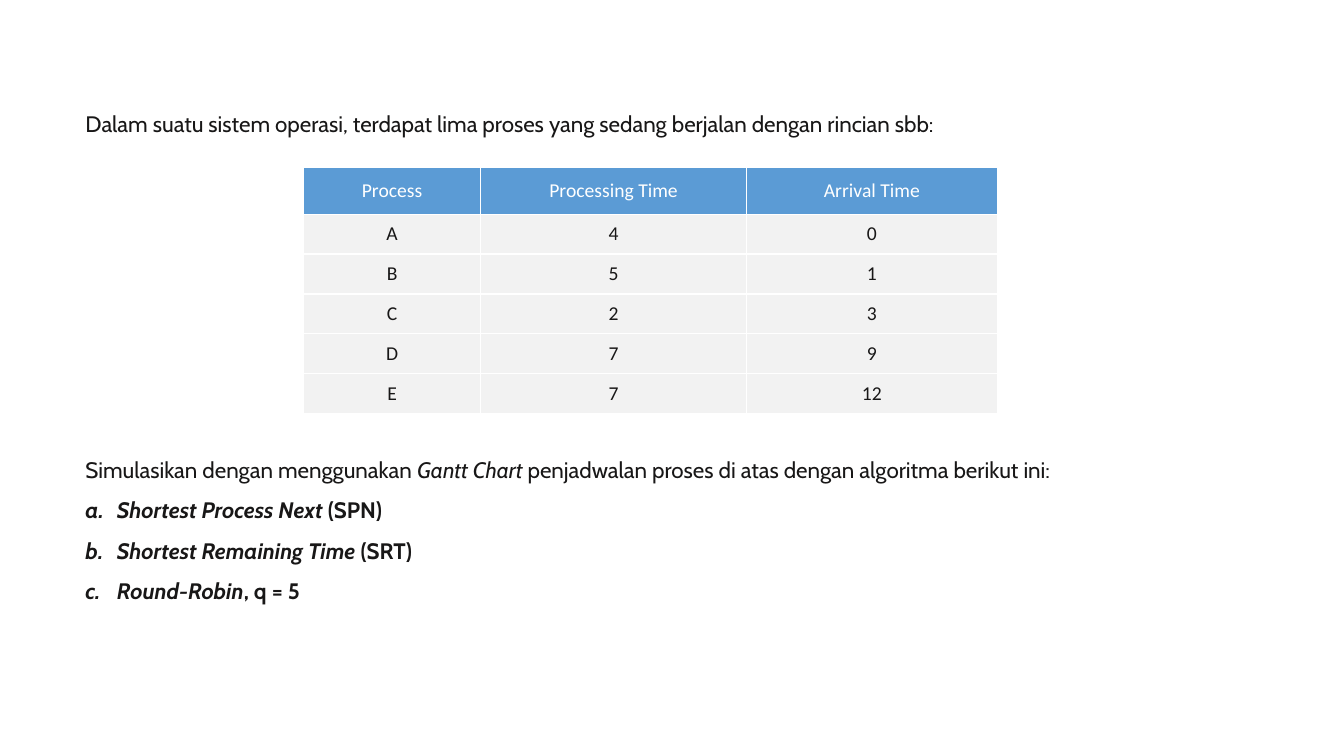
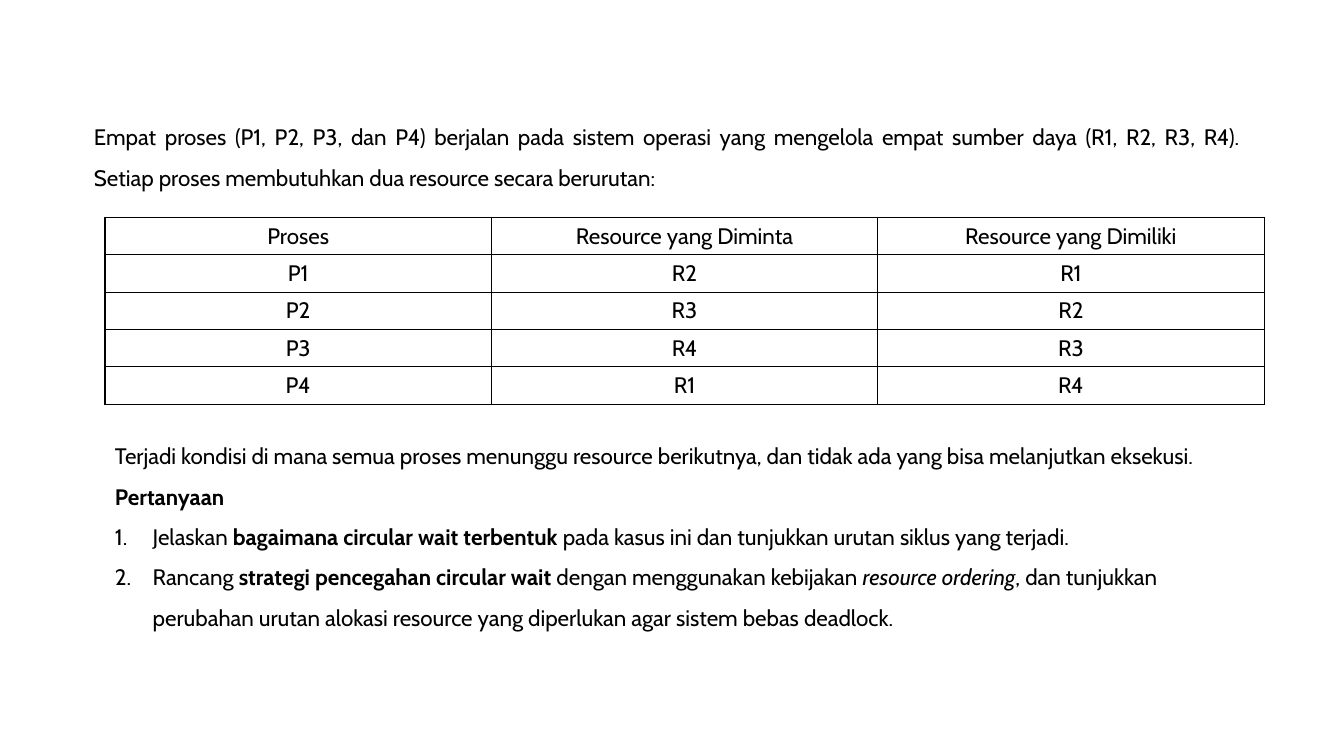
from lxml import etree
from pptx import Presentation
from pptx import util as u
from pptx.dml.color import RGBColor
from pptx.enum import text as t
from pptx.oxml import ns

PX = 9525
FONT = "Cabin"
INK = {"dark": "181717", "black": "000000", "white": "FFFFFF",
       "blue": "5B9BD5", "pale": "F2F2F2"}
ALIGN = {"left": t.PP_ALIGN.LEFT, "just": t.PP_ALIGN.JUSTIFY, "mid": t.PP_ALIGN.CENTER}


def write(frame, paras, ink, align, size=16, font=FONT, gap=1.0, list_type=None, indent=0):
    for n, (listed, runs) in enumerate(paras):
        para = frame.paragraphs[0] if n == 0 else frame.add_paragraph()
        para.alignment = ALIGN[align]
        para.line_spacing = gap
        if listed:
            props = para._p.get_or_add_pPr()
            props.set("marL", str(indent * PX))
            props.set("indent", str(-indent * PX))
            etree.SubElement(props, ns.qn("a:buFont"), typeface="+mj-lt")
            etree.SubElement(props, ns.qn("a:buAutoNum"), type=list_type)
        for words, style in runs:
            if words == "\n":
                para.add_line_break()
                continue
            run = para.add_run()
            run.text = words
            run.font.name = font
            run.font.size = u.Pt(size)
            run.font.bold = "b" in style
            run.font.italic = "i" in style
            run.font.color.rgb = RGBColor.from_string(INK[ink])


def grid(slide, left, top, cols, rows, data, edge, looks, size, font, pad):
    table = slide.shapes.add_table(len(rows), len(cols), left * PX, top * PX,
                                   sum(cols) * PX, sum(rows) * PX).table
    table.first_row = table.horz_banding = False
    for col, wide in zip(table.columns, cols):
        col.width = wide * PX
    for r, (row, high) in enumerate(zip(table.rows, rows)):
        row.height = high * PX
        ink, fill = looks[min(r, 1)]
        for cell, words in zip(row.cells, data[r]):
            cell.vertical_anchor = t.MSO_ANCHOR.MIDDLE
            cell.margin_left = cell.margin_right = pad[0] * PX
            cell.margin_top = cell.margin_bottom = pad[1] * PX
            props = cell._tc.get_or_add_tcPr()
            for side in "LRTB":
                line = etree.SubElement(props, ns.qn("a:ln" + side), w=str(u.Pt(1)))
                solid = etree.SubElement(line, ns.qn("a:solidFill"))
                etree.SubElement(solid, ns.qn("a:srgbClr"), val=INK[edge])
            if fill:
                cell.fill.solid()
                cell.fill.fore_color.rgb = RGBColor.from_string(INK[fill])
            else:
                cell.fill.background()
            write(cell.text_frame, [(False, [(words, "")])], ink, "mid", size, font)


deck = Presentation()
deck.slide_width = 1280 * PX
deck.slide_height = 720 * PX
blank = deck.slide_layouts[6]
plan = deck.slides.add_slide(blank)
lock = deck.slides.add_slide(blank)

grid(plan, 289, 159, [169, 253, 239], [45] + [38] * 5,
     [("Process", "Processing Time", "Arrival Time"),
      ("A", "4", "0"), ("B", "5", "1"), ("C", "2", "3"),
      ("D", "7", "9"), ("E", "7", "12")],
     "white", [("white", "blue"), ("dark", "pale")], 14, "Calibri", (7, 0))

grid(lock, 100, 207, [368] * 3, [35] * 5,
     [("Proses", "Resource yang Diminta", "Resource yang Dimiliki"),
      ("P1", "R2", "R1"), ("P2", "R3", "R2"),
      ("P3", "R4", "R3"), ("P4", "R1", "R4")],
     "black", [("black", None)] * 2, 16, FONT, (10, 5))

intro = [(False, [("Dalam suatu sistem operasi, terdapat lima proses yang sedang berjalan dengan rincian sbb:", "")])]
tasks = [
    (False, [("Simulasikan dengan menggunakan ", ""), ("Gantt Chart", "i"),
             (" penjadwalan proses di atas dengan algoritma berikut ini:", "")]),
    (True, [("Shortest Process Next", "bi"), (" (SPN)", "b")]),
    (True, [("Shortest Remaining Time", "bi"), (" (SRT)", "b")]),
    (True, [("Round-Robin", "bi"), (", q = 5", "b")]),
]
case = [(False, [
    ("Empat proses (P1, P2, P3, dan P4) berjalan pada sistem operasi yang mengelola empat sumber daya (R1, R2, R3, R4).", ""),
    ("\n", ""),
    ("Setiap proses membutuhkan dua resource secara berurutan:", "")])]
asks = [
    (False, [("Terjadi kondisi di mana semua proses menunggu resource berikutnya, dan tidak ada yang bisa melanjutkan eksekusi.", "")]),
    (False, [("Pertanyaan", "b")]),
    (True, [("Jelaskan ", ""), ("bagaimana circular wait terbentuk", "b"),
            (" pada kasus ini dan tunjukkan urutan siklus yang terjadi.", "")]),
    (True, [("Rancang ", ""), ("strategi pencegahan circular wait", "b"),
            (" dengan menggunakan kebijakan ", ""), ("resource ordering", "i"),
            (", dan tunjukkan perubahan urutan alokasi resource yang diperlukan agar sistem bebas deadlock.", "")]),
]

for slide, place, paras, ink, align, gap, kind, indent in [
    (plan, (72, 100, 1113, 36), intro, "dark", "just", 1.0, None, 0),
    (plan, (72, 417, 1013, 165), tasks, "dark", "just", 1.5, "alphaLcPeriod", 30),
    (lock, (80, 100, 1111, 87), case, "black", "just", 1.5, None, 0),
    (lock, (100, 404, 1104, 200), asks, "black", "left", 1.5, "arabicPeriod", 36),
]:
    frame = slide.shapes.add_textbox(*[n * PX for n in place]).text_frame
    frame.word_wrap = True
    frame.auto_size = t.MSO_AUTO_SIZE.SHAPE_TO_FIT_TEXT
    write(frame, paras, ink, align, gap=gap, list_type=kind, indent=indent)

deck.save("out.pptx")
